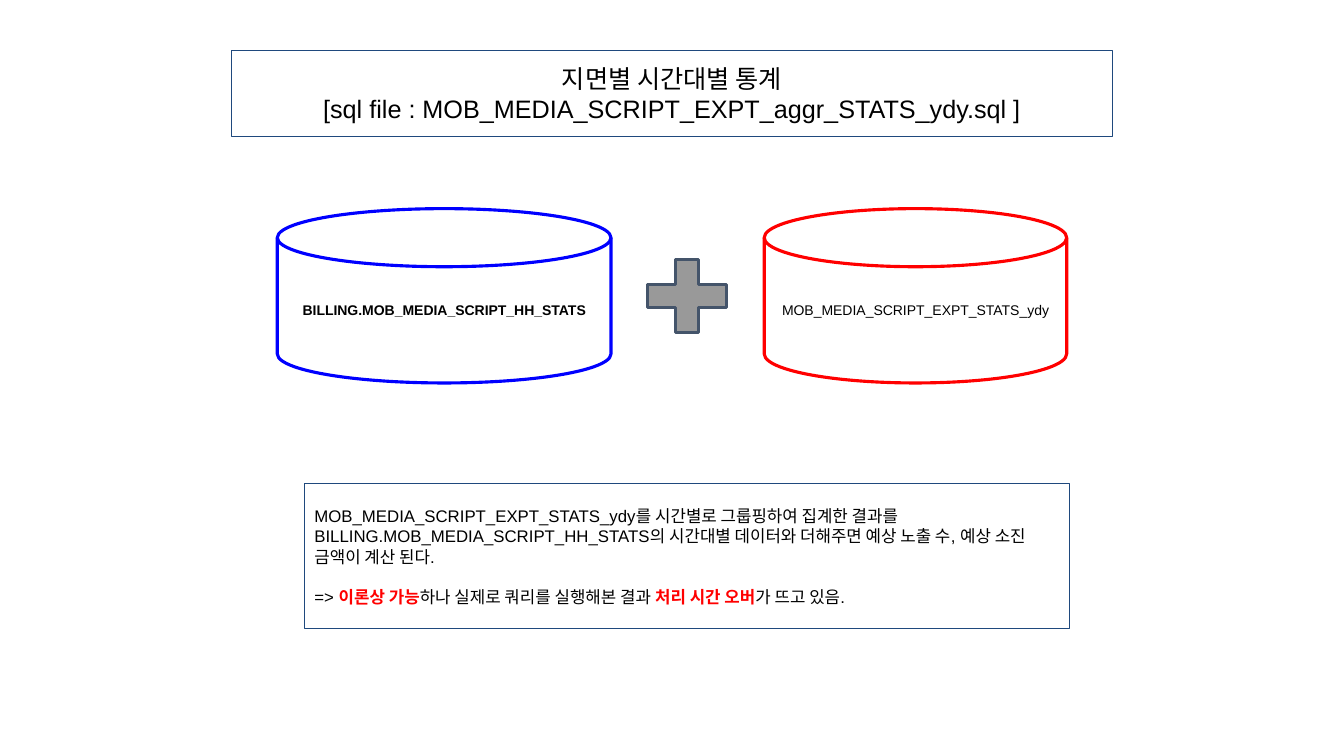
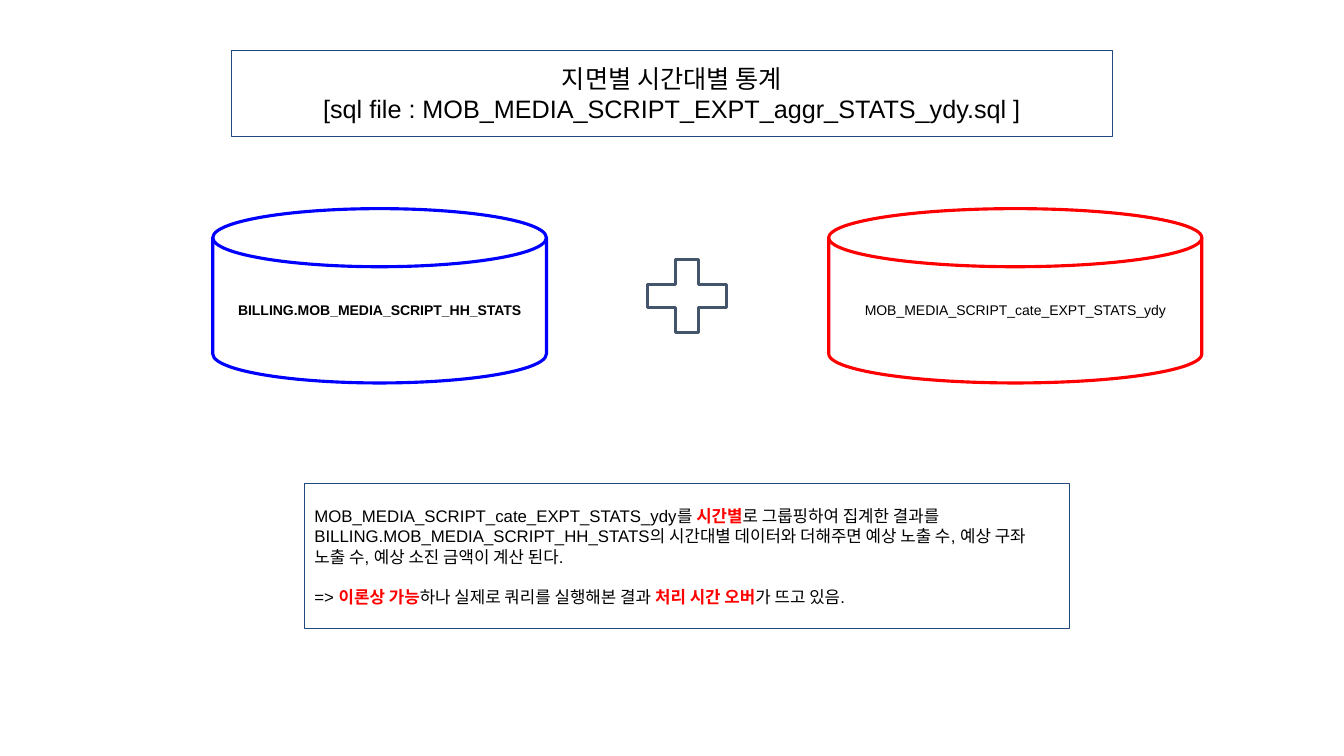
"""Build two slides that add billing statistics to expected hourly statistics."""
from dataclasses import dataclass
from typing import NamedTuple, Optional

from pptx import Presentation
from pptx.dml.color import RGBColor
from pptx.enum.shapes import MSO_SHAPE as SHAPE
from pptx.enum.text import MSO_ANCHOR as ANCHOR, PP_ALIGN as ALIGN
from pptx.util import Inches, Pt

FONT = "Arial"
BLACK, RED, BLUE = "000000", "FF0000", "0000FF"
NAVY, SLATE, GRAY = "1F497D", "44546A", "999999"
DISK_TOP, DISK_HEIGHT = 2.07, 1.73
PARAGRAPH_GAP = 14.5


class Span(NamedTuple):
    text: str
    bold: bool = False
    color: str = BLACK


class Box(NamedTuple):
    left: float
    top: float
    width: float
    height: float


@dataclass
class Disk:
    label: Span
    left: float
    width: float
    line: str


@dataclass
class StatsSlide:
    disks: list[Disk]
    plus_fill: Optional[str]
    summary: list[Span]


def alert(text: str) -> Span:
    return Span(text, True, RED)


TITLE_BOX = Box(2.3, 0.5, 8.73, 0.85)
PLUS_BOX = Box(6.28, 2.44, 1.07, 0.99)
NOTE_BOX = Box(3.02, 4.8, 7.59, 1.44)

TITLE = [
    [Span("지면별 시간대별 통계")],
    [Span("[sql file : MOB_MEDIA_SCRIPT_EXPT_aggr_STATS_ydy.sql ]")],
]
BILLING = Span("BILLING.MOB_MEDIA_SCRIPT_HH_STATS", True)
CONCLUSION = [
    Span("=> "),
    alert("이론상 가능"),
    Span("하나 실제로 쿼리를 실행해본 결과 "),
    alert("처리 시간 오버"),
    Span("가 뜨고 있음."),
]

SLIDES = [
    StatsSlide(
        disks=[
            Disk(BILLING, 2.75, 3.31, BLUE),
            Disk(Span("MOB_MEDIA_SCRIPT_EXPT_STATS_ydy"), 7.58, 3, RED),
        ],
        plus_fill=GRAY,
        summary=[
            Span("MOB_MEDIA_SCRIPT_EXPT_STATS_ydy를 시간별로 그룹핑하여 집계한 결과를 "
                 "BILLING.MOB_MEDIA_SCRIPT_HH_STATS의 시간대별 데이터와 더해주면 "
                 "예상 노출 수, 예상 소진 금액이 계산 된다."),
        ],
    ),
    StatsSlide(
        disks=[
            Disk(BILLING, 2.11, 3.31, BLUE),
            Disk(Span("MOB_MEDIA_SCRIPT_cate_EXPT_STATS_ydy"), 8.22, 3.7, RED),
        ],
        plus_fill=None,
        summary=[
            Span("MOB_MEDIA_SCRIPT_cate_EXPT_STATS_ydy를 "),
            alert("시간별"),
            Span("로 그룹핑하여 집계한 결과를 "
                 "BILLING.MOB_MEDIA_SCRIPT_HH_STATS의 시간대별 데이터와 더해주면 "
                 "예상 노출 수, 예상 구좌 노출 수, 예상 소진 금액이 계산 된다."),
        ],
    ),
]


def rgb(color: str) -> RGBColor:
    return RGBColor.from_string(color)


def add_outline(slide, kind: SHAPE, box: Box, line: str, weight: float,
                fill: Optional[str] = None):
    sp = slide.shapes.add_shape(kind, *map(Inches, box))
    sp.shadow.inherit = False
    if fill:
        sp.fill.solid()
        sp.fill.fore_color.rgb = rgb(fill)
    else:
        sp.fill.background()
    sp.line.color.rgb = rgb(line)
    sp.line.width = Pt(weight)
    return sp


def write(sp, paragraphs: list[list[Span]], size: float,
          align: ALIGN = ALIGN.CENTER, gap: float = 0) -> None:
    tf = sp.text_frame
    tf.word_wrap = True
    tf.vertical_anchor = ANCHOR.MIDDLE
    tf.margin_left = tf.margin_right = Inches(0.1)
    tf.margin_top = tf.margin_bottom = Inches(0.1)
    for i, spans in enumerate(paragraphs):
        p = tf.add_paragraph() if i else tf.paragraphs[0]
        p.alignment = align
        p.space_before = Pt(gap if i else 0)
        for span in spans:
            r = p.add_run()
            r.text = span.text
            r.font.name = FONT
            r.font.size = Pt(size)
            r.font.bold = span.bold
            r.font.color.rgb = rgb(span.color)


def add_stats_slide(prs, content: StatsSlide) -> None:
    slide = prs.slides.add_slide(prs.slide_layouts[6])
    title = add_outline(slide, SHAPE.RECTANGLE, TITLE_BOX, NAVY, 0.75)
    write(title, TITLE, 18)
    for disk in content.disks:
        box = Box(disk.left, DISK_TOP, disk.width, DISK_HEIGHT)
        sp = add_outline(slide, SHAPE.FLOWCHART_MAGNETIC_DISK, box, disk.line, 2.25)
        write(sp, [[disk.label]], 10)
    add_outline(slide, SHAPE.MATH_PLUS, PLUS_BOX, SLATE, 2.25, content.plus_fill)
    note = add_outline(slide, SHAPE.RECTANGLE, NOTE_BOX, NAVY, 0.75)
    write(note, [content.summary, CONCLUSION], 12, ALIGN.LEFT, PARAGRAPH_GAP)


def main() -> None:
    prs = Presentation()
    prs.slide_width, prs.slide_height = Inches(13.33), Inches(7.5)
    for content in SLIDES:
        add_stats_slide(prs, content)
    prs.save("out.pptx")


if __name__ == "__main__":
    main()
